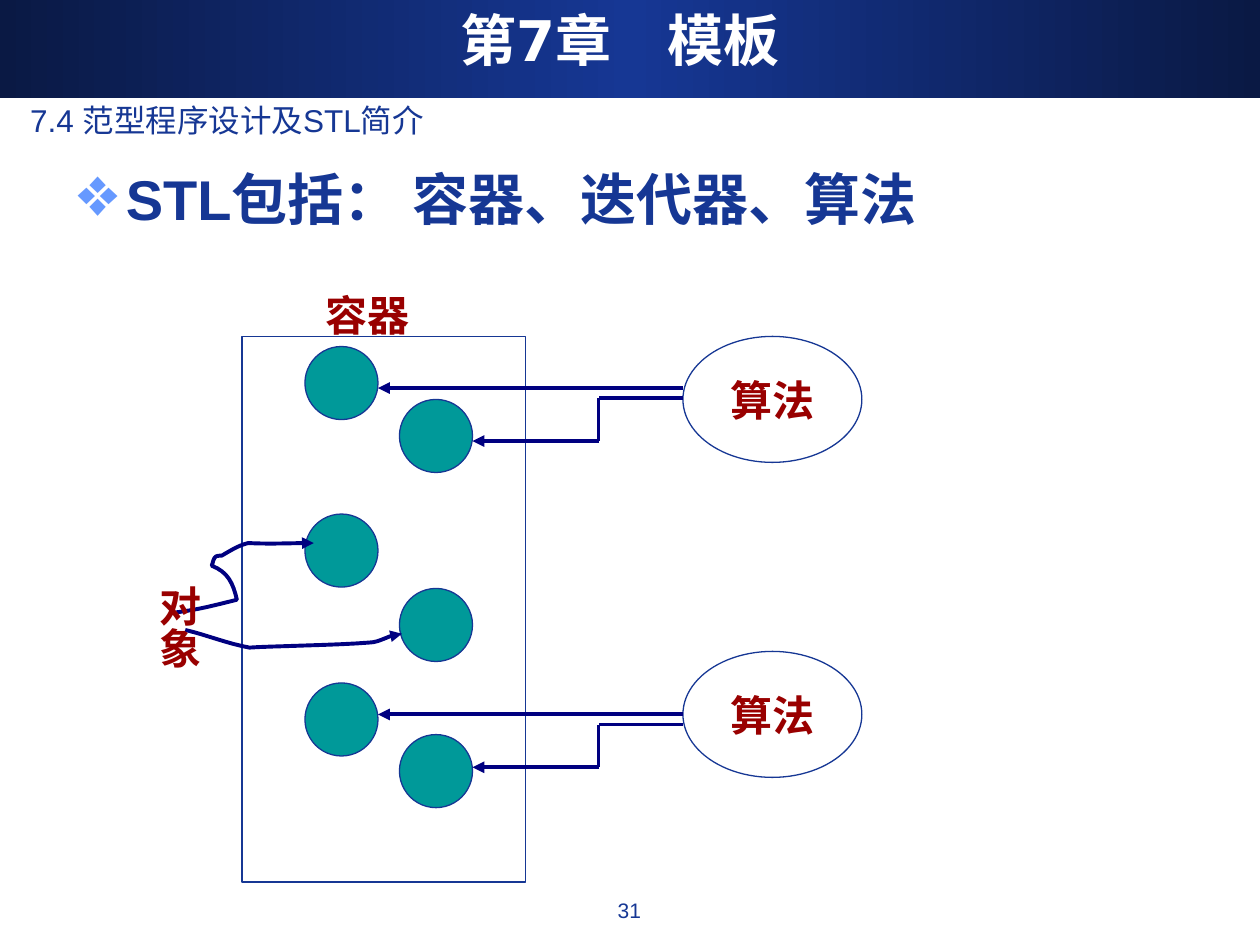
from copy import deepcopy
from dataclasses import dataclass
from itertools import pairwise

from lxml import etree
from pptx import Presentation
from pptx import util as u
from pptx.dml.color import RGBColor
from pptx.enum import shapes, text
from pptx.oxml.ns import qn

NAVY, BLUE, DARK = "000080", "163794", "0A1944"
RED, TEAL, WHITE = "990000", "009999", "FFFFFF"
KIND = shapes.MSO_SHAPE
LEFT, MID = text.PP_ALIGN.LEFT, text.PP_ALIGN.CENTER
Point = tuple[float, float]


@dataclass
class Box:
    x: float
    y: float
    w: float
    h: float

    def place(self) -> tuple:
        return tuple(u.Inches(n) for n in (self.x, self.y, self.w, self.h))


@dataclass
class Label:
    words: str
    box: Box
    size: float = 24
    face: str = "Times New Roman"
    color: str = RED
    bold: bool = True
    align: text.PP_ALIGN = MID
    bullet: bool = False
    upright: bool = False
    middle: bool = False


@dataclass
class Curve:
    start: Point
    arcs: list[tuple[Point, Point, Point]]


def tint(code: str) -> RGBColor:
    return RGBColor.from_string(code)


def add_mark(para) -> None:
    props = para._p.get_or_add_pPr()
    props.set("marL", str(u.Inches(0.38)))
    props.set("indent", str(u.Inches(-0.38)))
    hue = etree.SubElement(props, qn("a:buClr"))
    etree.SubElement(hue, qn("a:srgbClr"), val="6699FF")
    etree.SubElement(props, qn("a:buSzPct"), val="125000")
    etree.SubElement(props, qn("a:buChar"), char="❖")


def add_label(slide, label: Label) -> None:
    frame = slide.shapes.add_textbox(*label.box.place()).text_frame
    frame.word_wrap = True
    if label.middle:
        frame.vertical_anchor = text.MSO_ANCHOR.MIDDLE
    if label.upright:
        frame._txBody.bodyPr.set("vert", "eaVert")
        frame.margin_left = frame.margin_right = u.Inches(0.05)
        frame.margin_top = frame.margin_bottom = u.Inches(0.1)
    para = frame.paragraphs[0]
    para.text = label.words
    para.alignment = label.align
    if label.bullet:
        add_mark(para)
    font = para.font
    font.name, font.size, font.bold = label.face, u.Pt(label.size), label.bold
    font.color.rgb = tint(label.color)


def add_form(slide, kind: KIND, box: Box, fill: str | None = None):
    form = slide.shapes.add_shape(kind, *box.place())
    form.shadow.inherit = False
    form.line.color.rgb, form.line.width = tint(BLUE), u.Pt(0.75)
    if fill:
        form.fill.solid()
        form.fill.fore_color.rgb = tint(fill)
    else:
        form.fill.background()
    return form


def add_band(slide, box: Box) -> None:
    band = add_form(slide, KIND.RECTANGLE, box)
    band.line.fill.background()
    band.fill.gradient()
    band.fill.gradient_angle = 0
    for stop in band.fill.gradient_stops:
        stop.color.rgb = tint(DARK)
    stops = band._element.spPr.find(".//" + qn("a:gsLst"))
    core = deepcopy(stops[0])
    core.set("pos", "50000")
    stops.insert(1, core)
    band.fill.gradient_stops[1].color.rgb = tint(BLUE)


def ink(form, arrow: bool) -> None:
    form.line.color.rgb, form.line.width = tint(NAVY), u.Pt(2.25)
    if arrow:
        pen = form.line._get_or_add_ln()
        etree.SubElement(pen, qn("a:tailEnd"), type="triangle")


def add_route(slide, points: list[Point]) -> None:
    for start, end in pairwise(points):
        ends = [u.Inches(n) for n in (*start, *end)]
        line = slide.shapes.add_connector(shapes.MSO_CONNECTOR.STRAIGHT, *ends)
        ink(line, end == points[-1])
        etree.SubElement(line._element.spPr, qn("a:effectLst"))


def trace(curve: Curve, steps: int = 8) -> list[Point]:
    points = [curve.start]
    for arc in curve.arcs:
        knots = (points[-1], *arc)
        for step in range(1, steps + 1):
            t = step / steps
            s = 1 - t
            parts = (s**3, 3 * s * s * t, 3 * s * t * t, t**3)
            points.append(tuple(
                sum(p * k[axis] for p, k in zip(parts, knots))
                for axis in (0, 1)))
    return points


def add_curve(slide, curve: Curve) -> None:
    points = [(u.Inches(x), u.Inches(y)) for x, y in trace(curve)]
    path = slide.shapes.build_freeform(*points[0])
    path.add_line_segments(points[1:], close=False)
    form = path.convert_to_shape()
    form.shadow.inherit = False
    form.fill.background()
    ink(form, True)


CURVES = [
    Curve((1.4, 4.86), [
        ((1.57, 4.84), (1.72, 4.8), (1.88, 4.76)),
        ((1.85, 4.63), (1.81, 4.54), (1.68, 4.49)),
        ((1.69, 4.47), (1.69, 4.44), (1.71, 4.42)),
        ((1.72, 4.41), (1.75, 4.41), (1.76, 4.41)),
        ((1.83, 4.37), (1.89, 4.33), (1.97, 4.31)),
        ((2.14, 4.32), (2.31, 4.31), (2.49, 4.31))]),
    Curve((1.47, 5), [
        ((1.64, 5.04), (1.81, 5.11), (1.98, 5.14)),
        ((2.1, 5.13), (2.7, 5.12), (2.93, 5.1)),
        ((3.02, 5.1), (3.1, 5.03), (3.19, 5.03))]),
]
LABELS = [
    Label("31", Box(3.83, 7.07, 2.33, 0.35), 12, "Arial", BLUE, False),
    Label("STL包括： 容器、迭代器、算法", Box(0.52, 1.26, 9, 0.81), 32, "Arial",
          BLUE, align=LEFT, bullet=True),
    Label("容器", Box(2.08, 2.25, 1.67, 0.5)),
    Label("算法", Box(5.67, 2.92, 0.92, 0.5)),
    Label("算法", Box(5.67, 5.42, 0.92, 0.5)),
    Label("对象", Box(1.07, 4.55, 0.6, 1.17), upright=True),
    Label("7.4 范型程序设计及STL简介", Box(0.14, 0.75, 9.11, 0.41), 18,
          "Arial", BLUE, False, LEFT),
    Label("第7章　模板", Box(0.3, 0, 9.25, 0.62), 32, "DejaVu Sans", WHITE,
          middle=True),
]


def main() -> None:
    deck = Presentation()
    deck.slide_width, deck.slide_height = u.Inches(10), u.Inches(7.5)
    slide = deck.slides.add_slide(deck.slide_layouts[6])
    add_band(slide, Box(0, 0, 10, 0.78))
    for row, top in enumerate((2.75, 3.17, 4.08, 4.67, 5.42, 5.83)):
        side = 2.42 + 0.75 * (row % 2)
        add_form(slide, KIND.OVAL, Box(side, top, 0.58, 0.58), TEAL)
    add_form(slide, KIND.RECTANGLE, Box(1.92, 2.67, 2.25, 4.33))
    for top in (2.67, 5.17):
        add_form(slide, KIND.OVAL, Box(5.42, top, 1.42, 1))
    for y in (3.08, 5.67):
        add_route(slide, [(5.42, y), (3, y)])
        bend, low = y + 0.08, y + 0.42
        add_route(slide, [(5.42, bend), (4.75, bend), (4.75, low), (3.75, low)])
    for curve in CURVES:
        add_curve(slide, curve)
    for label in LABELS:
        add_label(slide, label)
    deck.save("out.pptx")


if __name__ == "__main__":
    main()
